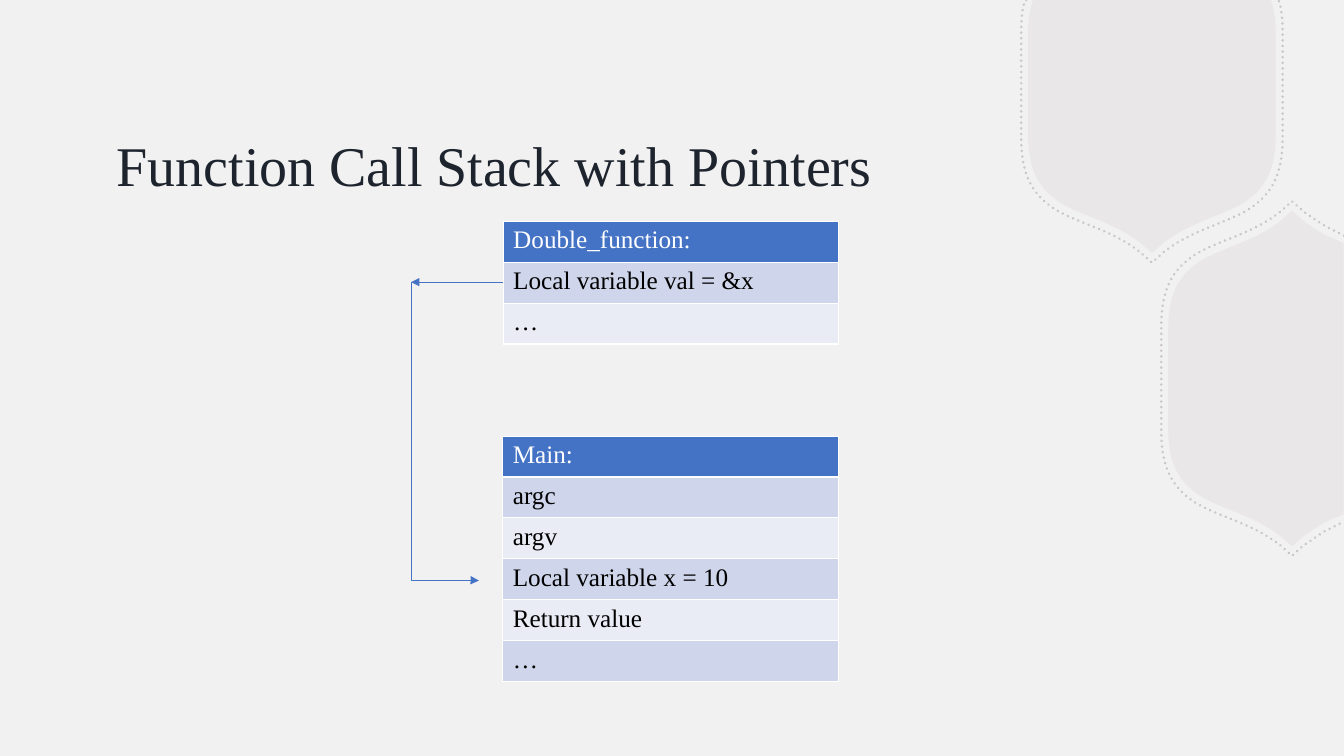
from lxml.etree import SubElement as Sub
from pptx import Presentation
from pptx.dml.color import RGBColor as Rgb
from pptx.enum.dml import MSO_LINE as Dash
from pptx.enum.shapes import MSO_CONNECTOR as Link
from pptx.enum.text import MSO_ANCHOR as Anchor
from pptx.oxml.ns import qn
from pptx.util import Cm, Pt

TITLE = "Function Call Stack with Pointers"
FRAMES = [
    {"left": 12.67, "top": 10.99,
     "rows": ["Main:", "argc", "argv", "Local variable x = 10", "Return value", "…"]},
    {"left": 12.68, "top": 5.58,
     "rows": ["Double_function:", "Local variable val = &x", "…"]},
]
COLORS = {"back": "F2F1F1", "shield": "B8B2B2", "title": "1D242E", "white": "FFFFFF",
          "black": "000000", "blue": "4472C4", "odd": "CFD5EA", "even": "E9EBF5"}
FONT = "Times New Roman"
WIDE, HIGH = 33.87, 19.05
COL, ROW = 8.46, 1.03

# Lower right quarter of a shield, measured from its centre: a line, two curves
QUART = [(0, 4.23), (0.28, 3.98), (0.97, 3.44), (1.73, 3.31), (2.31, 2.96),
         (2.87, 2.59), (3.12, 2.13), (3.12, 1.23)]
LEFT = [(-x, y) for x, y in reversed(QUART)]
# Each half runs from the mirror axis to the slide edge; L is a line, C a curve
SHIELDS = [
    {"centre": (29.03, 2.15), "flip": (-1, 1), "kinds": "LCCLCL", "join": "",
     "half": QUART + [(3.12, -1.23), (3.12, -1.57), (3.1, -1.84), (3.02, -2.07),
                      (3.0, -2.15)]},
    {"centre": (32.56, 9.54), "flip": (1, -1), "kinds": "CCLLCL", "join": "L",
     "half": LEFT + [(0.28, 3.98), (0.46, 3.86), (0.64, 3.73), (0.79, 3.64),
                     (1.3, 3.41)]},
]
RIM = 1.056

# Arrow from the pointer to the variable
BEND_X, VAL_Y, END_X, VAR_Y = 10.36, 7.11, 12.07, 14.63


def rgb(name):
    return Rgb.from_string(COLORS[name])


def fade(part, share):
    """Set the opacity, in percent, of a solid colour."""
    tint = next(part.iter(qn("a:srgbClr")))
    Sub(tint, qn("a:alpha"), val=str(share * 1000))


def style(run, size, color):
    for key, val in {"size": Pt(size), "name": FONT, "bold": False}.items():
        setattr(run.font, key, val)
    run.font.color.rgb = rgb(color)


def bend(shape, kinds):
    """Merge three line steps into one curve wherever kinds has a C."""
    path = next(shape._element.iter(qn("a:path")))
    steps = iter(path.findall(qn("a:lnTo")))
    for kind in kinds:
        step = next(steps)
        if kind == "C":
            step.tag = qn("a:cubicBezTo")
            for _ in range(2):
                more = next(steps)
                step.append(more[0])
                path.remove(more)


def shield(shapes, scale, solid, centre, flip, kinds, join, half):
    back = [(x * flip[0], y * flip[1]) for x, y in reversed(half)]
    loop = back + (half if join else half[1:])
    pts = [(Cm(min(WIDE, centre[0] + x * scale)), Cm(max(0, centre[1] + y * scale)))
           for x, y in loop]
    pen = shapes.build_freeform(*pts[0])
    pen.add_line_segments(pts[1:], close=solid)
    shape = pen.convert_to_shape()
    bend(shape, kinds[::-1] + join + kinds)
    shape.shadow.inherit = False
    if solid:
        shape.fill.solid()
        shape.fill.fore_color.rgb = rgb("shield")
        fade(shape.fill._xPr, 15)
        shape.line.fill.background()
    else:
        shape.fill.background()
        line = shape.line
        line.color.rgb = rgb("shield")
        line.width = Pt(2)
        line.dash_style = Dash.ROUND_DOT
        line._ln.set("cap", "rnd")
        fade(line._ln, 65)


def heading(shapes):
    box = shapes.add_textbox(Cm(2.69), Cm(2.67), Cm(25.22), Cm(2.95))
    frame = box.text_frame
    for key, val in {"word_wrap": True, "vertical_anchor": Anchor.MIDDLE}.items():
        setattr(frame, key, val)
    run = frame.paragraphs[0].add_run()
    run.text = TITLE
    style(run, 40, "title")


def border(cell):
    props = cell._tc.get_or_add_tcPr()
    for at, side in enumerate(("L", "R", "T", "B")):
        line = Sub(props, qn("a:ln" + side), w=str(Pt(1)))
        fill = Sub(line, qn("a:solidFill"))
        Sub(fill, qn("a:srgbClr"), val=COLORS["white"])
        props.insert(at, line)


def stack(shapes, left, top, rows):
    table = shapes.add_table(len(rows), 1, Cm(left), Cm(top), Cm(COL),
                             Cm(ROW * len(rows))).table
    for i, text in enumerate(rows):
        table.rows[i].height = Cm(ROW)
        cell = table.cell(i, 0)
        cell.fill.solid()
        cell.fill.fore_color.rgb = rgb("blue" if i == 0 else "odd" if i % 2 else "even")
        border(cell)
        run = cell.text_frame.paragraphs[0].add_run()
        run.text = text
        style(run, 18, "black" if i else "white")


def arrow(shapes, kind, *ends):
    link = shapes.add_connector(kind, *map(Cm, ends))
    link.line.color.rgb = rgb("blue")
    link.line.width = Pt(0.5)
    Sub(link.line._ln, qn("a:tailEnd"), type="triangle")
    Sub(link._element.spPr, qn("a:effectLst"))
    return link


def elbow(shapes):
    """Arrow down and then right: a flat elbow given a turn of 270 degrees."""
    mid_x, mid_y = (BEND_X + END_X) / 2, (VAL_Y + VAR_Y) / 2
    dx, dy = (VAR_Y - VAL_Y) / 2, (END_X - BEND_X) / 2
    link = arrow(shapes, Link.ELBOW, mid_x + dx, mid_y - dy, mid_x - dx, mid_y + dy)
    props = link._element.spPr
    props.find(qn("a:xfrm")).set("rot", str(270 * 60000))
    guides = next(props.iter(qn("a:avLst")))
    Sub(guides, qn("a:gd"), name="adj1", fmla="val 99900")


def main():
    deck = Presentation()
    deck.slide_width, deck.slide_height = Cm(WIDE), Cm(HIGH)
    slide = deck.slides.add_slide(deck.slide_layouts[6])
    slide.background.fill.solid()
    slide.background.fill.fore_color.rgb = rgb("back")
    shapes = slide.shapes
    for scale, solid in ((1, True), (RIM, False)):
        for form in SHIELDS:
            shield(shapes, scale, solid, **form)
    heading(shapes)
    for frame in FRAMES:
        stack(shapes, **frame)
    elbow(shapes)
    arrow(shapes, Link.STRAIGHT, FRAMES[1]["left"], VAL_Y, BEND_X, VAL_Y)
    deck.save("out.pptx")


if __name__ == "__main__":
    main()
